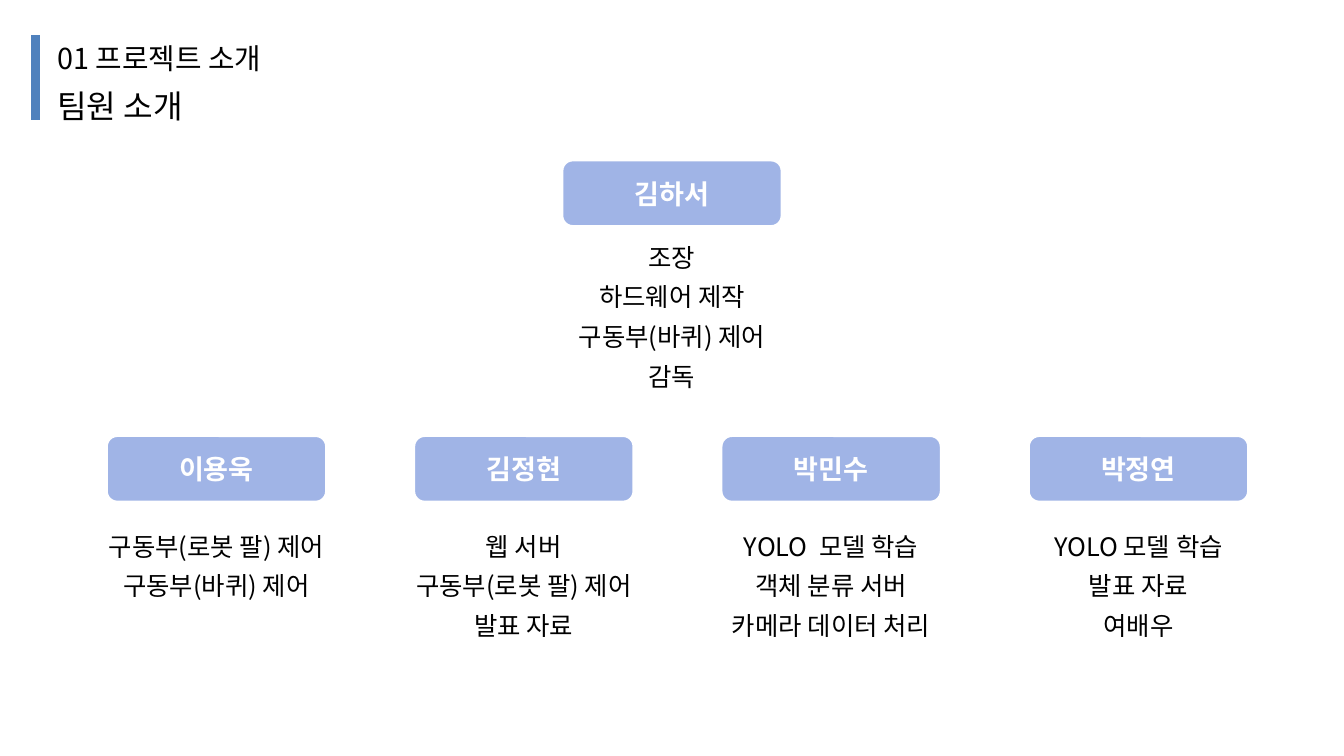
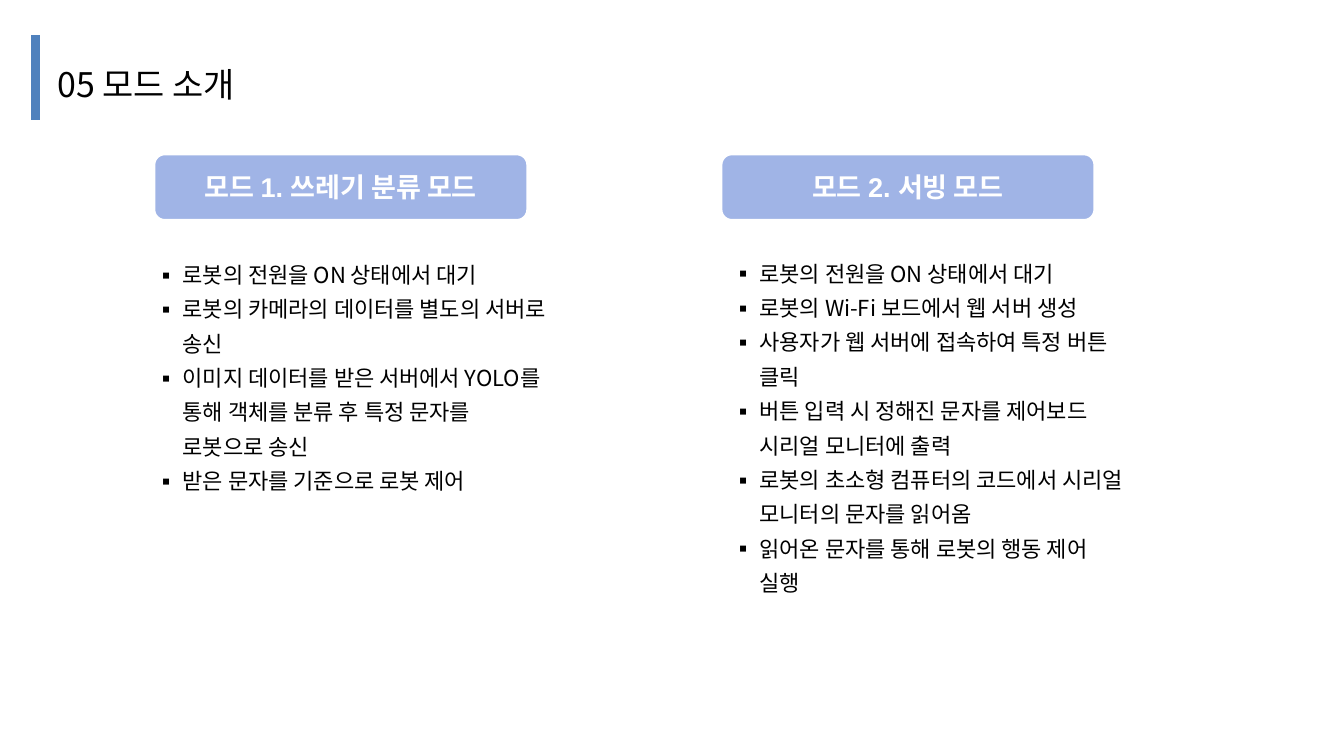
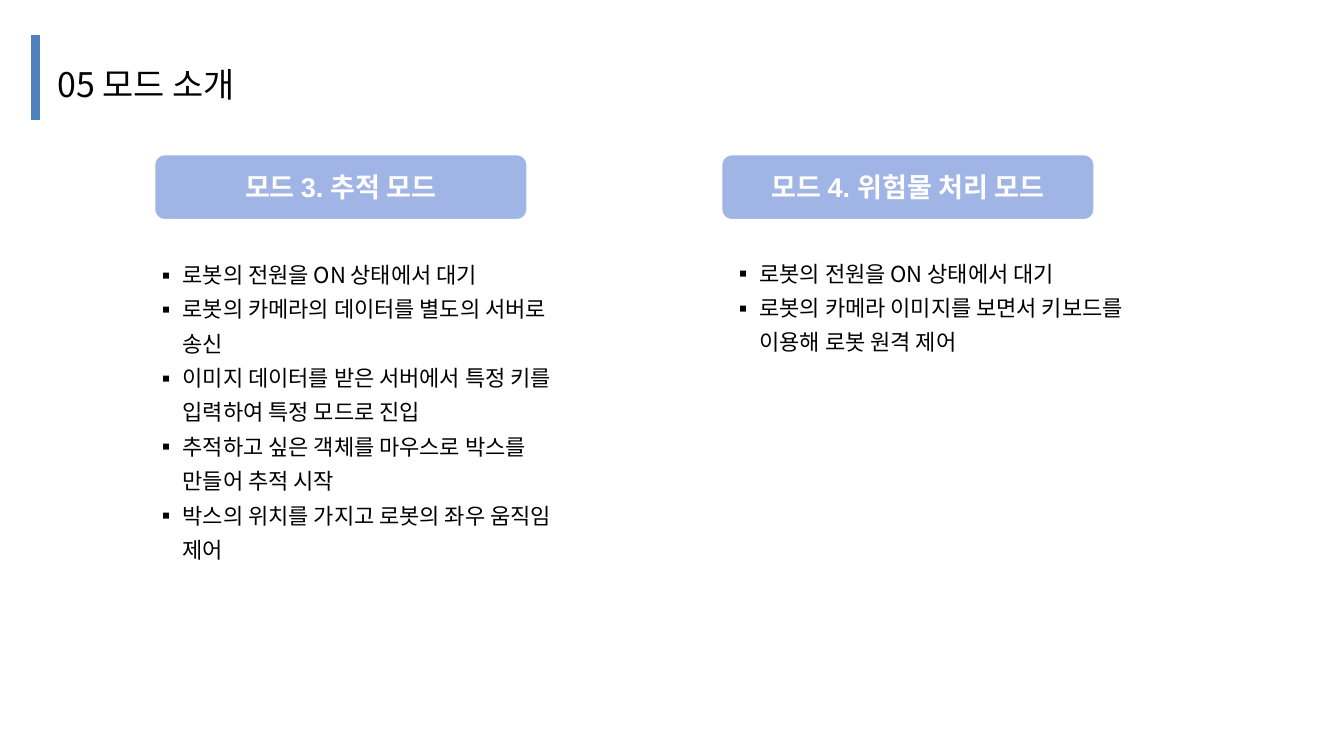
from dataclasses import dataclass

from lxml.etree import SubElement
from pptx import Presentation
from pptx.dml.color import RGBColor
from pptx.enum.shapes import MSO_SHAPE
from pptx.enum.text import MSO_ANCHOR, MSO_AUTO_SIZE, PP_ALIGN
from pptx.oxml.ns import qn
from pptx.util import Pt


@dataclass(frozen=True)
class Theme:
    black: str = "000000"
    white: str = "FFFFFF"
    bar: str = "4F81BD"
    badge: str = "A0B4E6"
    sans: str = "Noto Sans CJK KR"
    label: str = "Arial"
    title: float = 20
    section: float = 17
    topic: float = 19
    head: float = 16
    role: float = 15
    item: float = 13
    edge: float = 2
    lead: float = 1.3


T = Theme()
WIDE, HIGH = 793.44, 446.4
BADGE_H = 39.6
INDENT = 15.84

# Each person: name, duties, number of text rows
LEADER = ("김하서", ["조장", "하드웨어 제작", "구동부(바퀴) 제어", "감독"], 4)
MEMBERS = [
    ("이용욱", ["구동부(로봇 팔) 제어", "구동부(바퀴) 제어"], 3),
    ("김정현", ["웹 서버", "구동부(로봇 팔) 제어", "발표 자료"], 4),
    ("박민수", ["YOLO  모델 학습", "객체 분류 서버", "카메라 데이터 처리"], 3),
    ("박정연", ["YOLO 모델 학습", "발표 자료", "여배우"], 3),
]

# Each mode: name, steps, number of text rows
POWER = "로봇의 전원을 ON 상태에서 대기"
SEND = "로봇의 카메라의 데이터를 별도의 서버로 송신"
MODES = [
    [
        ("모드 1. 쓰레기 분류 모드", [
            POWER,
            SEND,
            "이미지 데이터를 받은 서버에서 YOLO를 통해 객체를 분류 후 특정 문자를 로봇으로 송신",
            "받은 문자를 기준으로 로봇 제어",
        ], 7),
        ("모드 2. 서빙 모드", [
            POWER,
            "로봇의 Wi-Fi 보드에서 웹 서버 생성",
            "사용자가 웹 서버에 접속하여 특정 버튼 클릭",
            "버튼 입력 시 정해진 문자를 제어보드 시리얼 모니터에 출력",
            "로봇의 초소형 컴퓨터의 코드에서 시리얼 모니터의 문자를 읽어옴",
            "읽어온 문자를 통해 로봇의 행동 제어 실행",
        ], 10),
    ],
    [
        ("모드 3. 추적 모드", [
            POWER,
            SEND,
            "이미지 데이터를 받은 서버에서 특정 키를 입력하여 특정 모드로 진입",
            "추적하고 싶은 객체를 마우스로 박스를 만들어 추적 시작",
            "박스의 위치를 가지고 로봇의 좌우 움직임 제어",
        ], 9),
        ("모드 4. 위험물 처리 모드", [
            POWER,
            "로봇의 카메라 이미지를 보면서 키보드를 이용해 로봇 원격 제어",
        ], 4),
    ],
]
# Each column: badge left, text left, text top
COLUMNS = [(90.72, 84.96, 146.16), (425.52, 425.52, 145.44)]


def write(frame, lines, sizes, font=T.sans, color=T.black, bold=False,
          align=PP_ALIGN.LEFT, lead=T.lead, bullet=None,
          anchor=MSO_ANCHOR.TOP, fit=MSO_AUTO_SIZE.NONE, inset=(7.2, 3.6)):
    """Fill a text frame, one paragraph per line; sizes has one entry per line."""
    frame.word_wrap = True
    frame.auto_size = fit
    frame.vertical_anchor = anchor
    frame.margin_left = frame.margin_right = Pt(inset[0])
    frame.margin_top = frame.margin_bottom = Pt(inset[1])
    for i, (line, size) in enumerate(zip(lines, sizes)):
        para = frame.add_paragraph() if i else frame.paragraphs[0]
        para.alignment = align
        para.line_spacing = lead
        if bullet:
            mark(para, bullet, color)
        run = para.add_run()
        run.text = line
        run.font.size = Pt(size)
        run.font.bold = bold
        run.font.color.rgb = RGBColor.from_string(color)
        run.font.name = font
        SubElement(run.font._element, qn("a:ea"), typeface=T.sans)


def mark(para, sign, color):
    """Give a paragraph a bullet with a hanging indent."""
    props = para._p.get_or_add_pPr()
    props.set("marL", str(Pt(INDENT)))
    props.set("indent", str(-Pt(INDENT)))
    tint = SubElement(props, qn("a:buClr"))
    SubElement(tint, qn("a:srgbClr"), val=color)
    SubElement(props, qn("a:buFont"), typeface=T.sans)
    SubElement(props, qn("a:buChar"), char=sign)


def block(slide, kind, box, fill):
    shape = slide.shapes.add_shape(kind, *map(Pt, box))
    shape.shadow.inherit = False
    shape.fill.solid()
    shape.fill.fore_color.rgb = RGBColor.from_string(fill)
    shape.line.color.rgb = RGBColor.from_string(T.white)
    shape.line.width = Pt(T.edge)
    return shape


def badge(slide, left, top, width, name):
    shape = block(slide, MSO_SHAPE.ROUNDED_RECTANGLE,
                  (left, top, width, BADGE_H), T.badge)
    write(shape.text_frame, [name], [T.head], font=T.label, color=T.white,
          bold=True, align=PP_ALIGN.CENTER, lead=1.0, anchor=MSO_ANCHOR.MIDDLE)


def body(slide, left, top, width, lines, rows, size, **style):
    high = rows * size * 1.2 * T.lead + 7.2
    box = slide.shapes.add_textbox(Pt(left), Pt(top), Pt(width), Pt(high))
    write(box.text_frame, lines, [size] * len(lines),
          fit=MSO_AUTO_SIZE.SHAPE_TO_FIT_TEXT, **style)


def start(deck, lines, sizes):
    """Add a slide with its title and accent bar."""
    slide = deck.slides.add_slide(deck.slide_layouts[5])
    top, high = 19.44, 52.56
    title = slide.shapes.title
    title.left, title.top, title.width, title.height = map(
        Pt, (33.84, top, 277.92, high))
    write(title.text_frame, lines, sizes, anchor=MSO_ANCHOR.MIDDLE, inset=(0, 0))
    block(slide, MSO_SHAPE.RECTANGLE, (17.28, top, 7.2, high), T.bar)
    return slide


def person(slide, mid, top, gap, width, data):
    """Place a name badge and its duties, both centred on mid."""
    name, duties, rows = data
    wide = 130.32
    badge(slide, mid - wide / 2, top, wide, name)
    body(slide, mid - width / 2, top + BADGE_H + gap, width, duties, rows,
         T.role, align=PP_ALIGN.CENTER)


def team(deck):
    slide = start(deck, ["01 프로젝트 소개", "팀원 소개"], [T.section, T.topic])
    person(slide, WIDE / 2, 94.32, 0, 244.08, LEADER)
    first, step = 127.8, 181.44
    for i, data in enumerate(MEMBERS):
        person(slide, first + i * step, 257.04, 7.92, 149.76, data)


def modes(deck, pair):
    slide = start(deck, ["05 모드 소개"], [T.title])
    for (left, inner, top), (name, steps, rows) in zip(COLUMNS, pair):
        badge(slide, left, 90.72, 221.04, name)
        body(slide, inner, top, 249.12, steps, rows, T.item, bullet="▪")


def main():
    deck = Presentation()
    deck.slide_width, deck.slide_height = Pt(WIDE), Pt(HIGH)
    team(deck)
    for pair in MODES:
        modes(deck, pair)
    deck.save("out.pptx")


if __name__ == "__main__":
    main()
